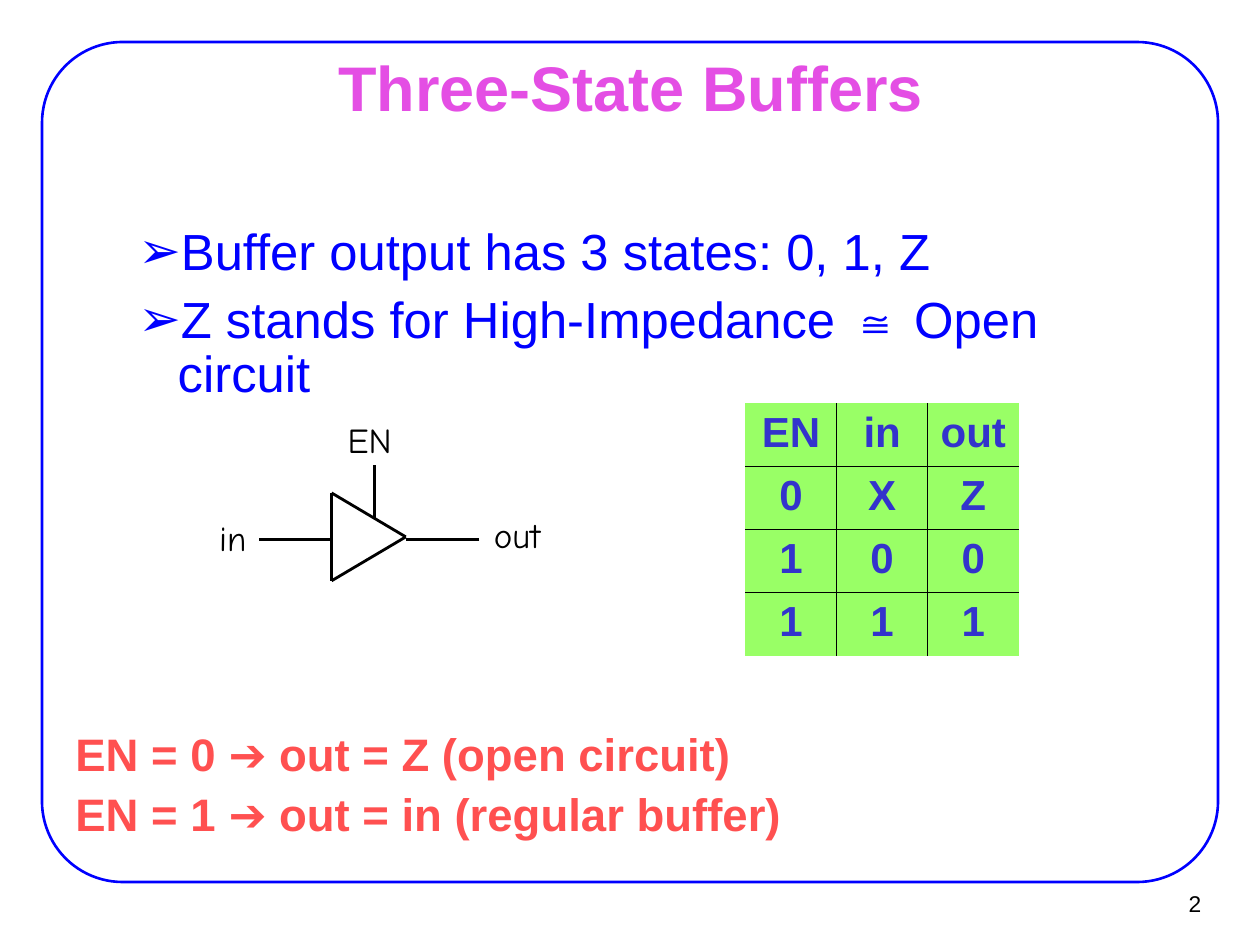
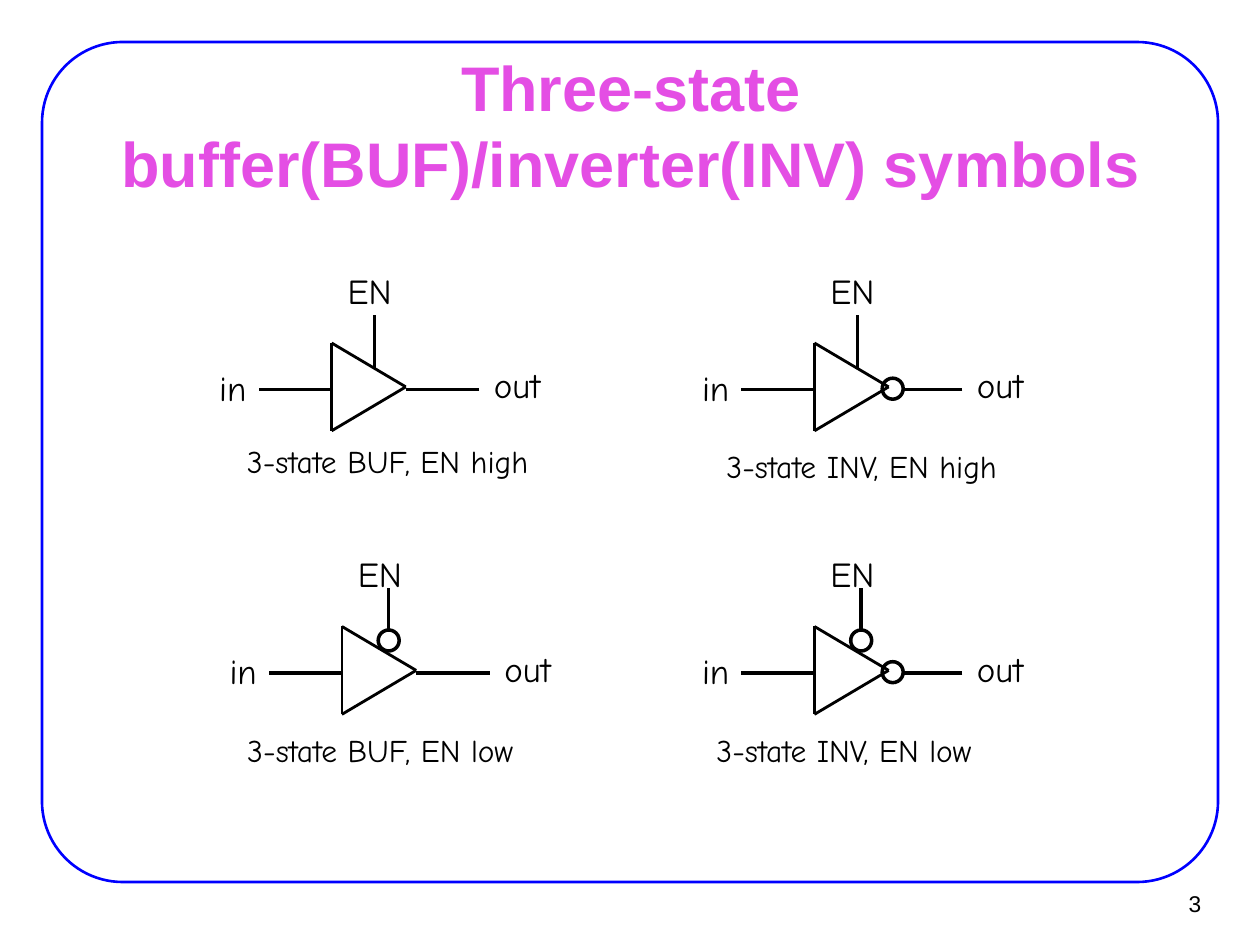
from dataclasses import dataclass

from lxml import etree
from pptx import Presentation
from pptx.dml.color import RGBColor
from pptx.enum.shapes import MSO_CONNECTOR, MSO_SHAPE
from pptx.enum.text import MSO_ANCHOR, PP_ALIGN
from pptx.oxml.ns import qn
from pptx.util import Pt

LEFT, MID, RIGHT = PP_ALIGN.LEFT, PP_ALIGN.CENTER, PP_ALIGN.RIGHT
TOP, MIDDLE = MSO_ANCHOR.TOP, MSO_ANCHOR.MIDDLE
ROUND, OVAL = MSO_SHAPE.ROUNDED_RECTANGLE, MSO_SHAPE.OVAL
STRAIGHT = MSO_CONNECTOR.STRAIGHT


@dataclass(frozen=True)
class Font:
    size: float
    color: str
    bold: bool = False
    face: str = "Arial"


@dataclass(frozen=True)
class Theme:
    frame: str = "0000FF"
    ink: str = "000000"
    cell: str = "99FF66"
    title: Font = Font(36, "E44EE4", True)
    page: Font = Font(13, "000000")
    bullet: Font = Font(29, "0000FF")
    note: Font = Font(26, "FF5050", True)
    grid: Font = Font(24, "3333CC", True)
    pin: Font = Font(20, "000000", face="Comic Neue")
    label: Font = Font(18, "000000", face="Comic Neue")


THEME = Theme()
BUBBLE = 12


def points(*values):
    return [Pt(v) for v in values]


def add_run(par, text, font):
    run = par.add_run()
    run.text = text
    run.font.size = Pt(font.size)
    run.font.name = font.face
    run.font.bold = font.bold
    run.font.color.rgb = RGBColor.from_string(font.color)


def add_text(slide, box, lines, font, align=LEFT, anchor=TOP, wrap=False,
             inset=(7.2, 3.6)):
    frame = slide.shapes.add_textbox(*points(*box)).text_frame
    frame.word_wrap = wrap
    frame.vertical_anchor = anchor
    frame.margin_left = frame.margin_right = Pt(inset[0])
    frame.margin_top = frame.margin_bottom = Pt(inset[1])
    for i, line in enumerate(lines):
        par = frame.paragraphs[0] if i == 0 else frame.add_paragraph()
        par.alignment = align
        add_run(par, line, font)
    return frame


def space_lines(frame, before, margin, hang, mark=None):
    """Set a hanging indent, tight leading and an optional bullet."""
    for par in frame.paragraphs:
        par.line_spacing = 0.9
        par.space_before = Pt(before)
        props = par._p.get_or_add_pPr()
        props.set("marL", str(Pt(margin)))
        props.set("indent", str(Pt(-hang)))
        if mark:
            etree.SubElement(props, qn("a:buFont")).set("typeface", "Arial")
            etree.SubElement(props, qn("a:buChar")).set("char", mark)


def outline(shape, color, width):
    shape.shadow.inherit = False
    shape.fill.background()
    shape.line.color.rgb = RGBColor.from_string(color)
    shape.line.width = Pt(width)


def add_wire(slide, *ends, width=2):
    wire = slide.shapes.add_connector(STRAIGHT, *points(*ends))
    wire.line.color.rgb = RGBColor.from_string(THEME.ink)
    wire.line.width = Pt(width)
    etree.SubElement(wire._element.spPr, qn("a:effectLst"))


def add_bubble(slide, x, y):
    ring = slide.shapes.add_shape(OVAL, *points(x, y, BUBBLE, BUBBLE))
    outline(ring, THEME.ink, 2)


def add_gate(slide, x, y, invert=False, low=False):
    """Draw a three-state gate whose triangle has its top left at x, y."""
    wide, high, mid = 42.4, 50.2, y + 26.5
    tips = [(x, y + high), (x + wide, y + high / 2), (x, y)]
    for i, tip in enumerate(tips):
        add_wire(slide, *tip, *tips[(i + 1) % 3], width=1.62)

    add_wire(slide, x + 0.5, mid, x - 41.7, mid)
    start = x + (51 if invert else wide)
    add_wire(slide, x + 84.5, mid, start, mid)
    if low:
        add_wire(slide, x + 26.7, y - 21.8, x + 26.7, y + 2)
        add_bubble(slide, x + 20.7, y + 2)
    else:
        add_wire(slide, x + 24.5, y - 15.8, x + 24.5, y + 14.4)
    if invert:
        add_bubble(slide, x + 38.7, mid - 6.4)

    pins = (("in", -71.3, 9.8, 31), ("out", 85.7, 8.4, 41),
            ("EN", 2, -45.8, 39.6))
    for name, dx, dy, width in pins:
        add_text(slide, (x + dx, y + dy, width, 31.7), [name], THEME.pin)


def set_edge(cell, side, shown):
    edge = etree.SubElement(cell._tc.get_or_add_tcPr(), qn("a:ln" + side))
    edge.set("w", str(Pt(0.45)))
    fill = etree.SubElement(edge, qn("a:solidFill" if shown else "a:noFill"))
    if shown:
        etree.SubElement(fill, qn("a:srgbClr")).set("val", THEME.ink)


def add_grid(slide, x, y, rows, width, height):
    """Add a table with lines between its cells only."""
    down, across = len(rows), len(rows[0])
    table = slide.shapes.add_table(
        down, across, *points(x, y, across * width, down * height)).table
    table.first_row = table.horz_banding = False
    for col in table.columns:
        col.width = Pt(width)
    for r, row in enumerate(rows):
        table.rows[r].height = Pt(height)
        for c, text in enumerate(row):
            cell = table.cell(r, c)
            inner = {"L": c > 0, "R": c < across - 1,
                     "T": r > 0, "B": r < down - 1}
            for side, shown in inner.items():
                set_edge(cell, side, shown)
            cell.fill.solid()
            cell.fill.fore_color.rgb = RGBColor.from_string(THEME.cell)
            par = cell.text_frame.paragraphs[0]
            par.alignment = MID
            par.space_before = Pt(6)
            add_run(par, text, THEME.grid)


def add_slide(deck, title, top, page):
    slide = deck.slides.add_slide(deck.slide_layouts[6])
    frame = slide.shapes.add_shape(ROUND, *points(24, 24, 672, 480))
    frame.adjustments[0] = 0.096
    outline(frame, THEME.frame, 1.5)
    add_text(slide, (649, 503, 44, 26.6), [str(page)], THEME.page,
             RIGHT, MIDDLE, inset=(6.5, 3))
    add_text(slide, (54.5, top, 612, 35.3), [title], THEME.title,
             MID, MIDDLE, wrap=True, inset=(7.9, 4.3))
    return slide


def build_states(deck):
    slide = add_slide(deck, "Three-State Buffers", 31.7, 2)
    facts = add_text(slide, (36, 126, 648, 110), [
        "Buffer output has 3 states: 0, 1, Z",
        "Z stands for High-Impedance ≅ Open circuit",
    ], THEME.bullet, wrap=True)
    space_lines(facts, 7.3, 58.5, 22.5, "➢")
    notes = add_text(slide, (36, 415, 648, 68), [
        "EN = 0 ➔ out = Z (open circuit)",
        "EN = 1 ➔ out = in (regular buffer)",
    ], THEME.note, wrap=True)
    space_lines(notes, 6.2, 27, 27)
    add_gate(slide, 189.5, 281.7)
    add_grid(slide, 426, 230.4,
             [("EN", "in", "out"), "0XZ", "100", "111"], 52.1, 36.1)


def build_symbols(deck):
    slide = add_slide(
        deck, "Three-state buffer(BUF)/inverter(INV) symbols", 53.3, 3)
    gates = (
        ("BUF", "high", 189.5, 196, 134, 249.3, 177),
        ("BUF", "low", 195.4, 358, 134.2, 414, 168.5),
        ("INV", "high", 465.4, 196, 408, 252, 172),
        ("INV", "low", 465.4, 358, 402.3, 414, 163.5),
    )
    for kind, level, x, y, left, top, width in gates:
        add_gate(slide, x, y, kind == "INV", level == "low")
        add_text(slide, (left, top, width, 28.8),
                 [f"3-state {kind}, EN {level}"], THEME.label)


def main():
    deck = Presentation()
    deck.slide_width, deck.slide_height = points(720, 540)
    build_states(deck)
    build_symbols(deck)
    deck.save("out.pptx")


if __name__ == "__main__":
    main()
